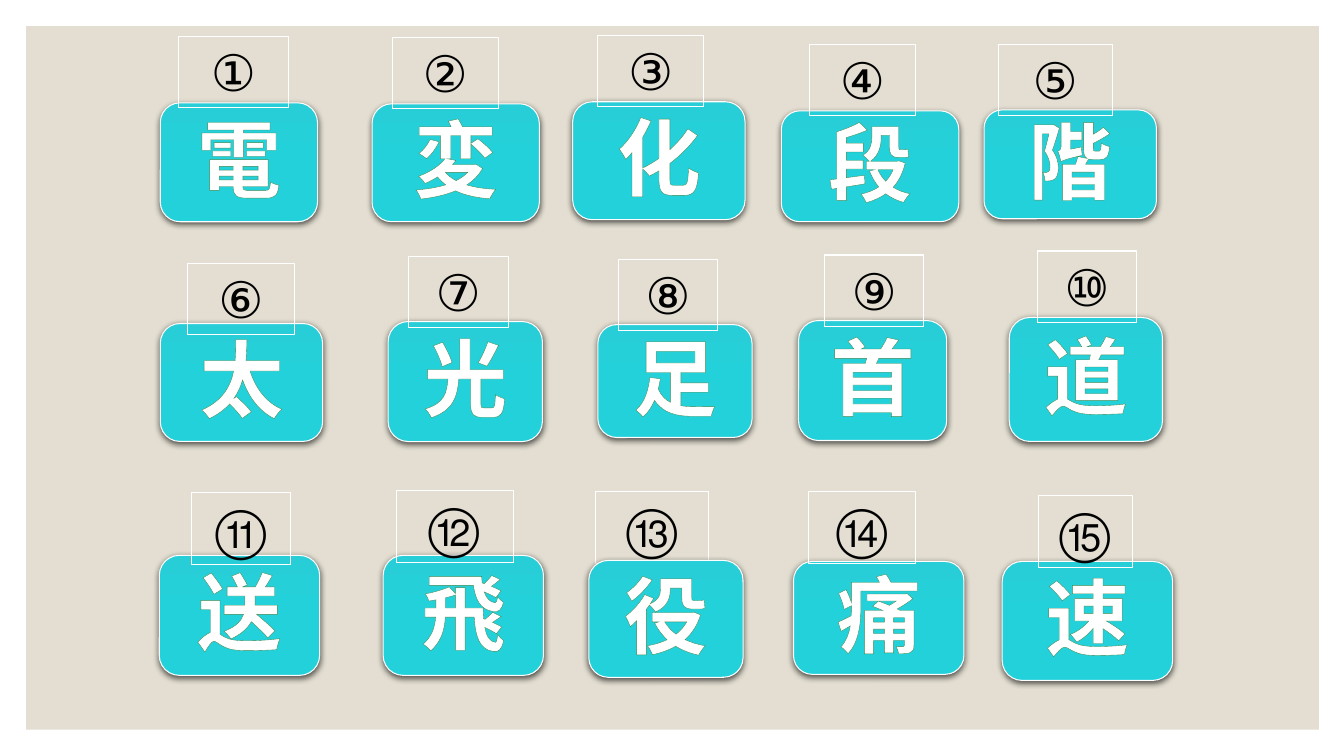
"""Build a slide of fifteen numbered kanji cards."""
import dataclasses
import typing

import lxml.etree
import pptx
import pptx.dml.color
import pptx.enum.shapes
import pptx.enum.text
import pptx.oxml
import pptx.oxml.ns
import pptx.util

PX = 9144
NS = pptx.oxml.ns.nsdecls("a")
NUMBER_H = 71
GRADIENT = ((0, "27CED7"), (50000, "22D1DA"), (100000, "22D0D9"))
KANJI_FONT = {"name": "Arial", "size": pptx.util.Pt(60), "bold": True}
NUMBER_FONT = {"name": "League Spartan", "size": pptx.util.Pt(36)}
KANJI_FRAME = {
    "margin_left": 0, "margin_right": 0, "margin_top": 0, "margin_bottom": 10 * PX,
    "vertical_anchor": pptx.enum.text.MSO_ANCHOR.MIDDLE, "word_wrap": True,
}
NUMBER_FRAME = {
    "auto_size": pptx.enum.text.MSO_AUTO_SIZE.SHAPE_TO_FIT_TEXT, "word_wrap": True,
}


class Box(typing.NamedTuple):
    left: int
    top: int
    width: int
    height: int


@dataclasses.dataclass
class Card:
    kanji: str
    box: Box
    number: str
    number_left: int
    number_top: int
    number_width: int
    covers_number: bool = False


CARDS = (
    Card("電", Box(159, 102, 156, 118), "①", 177, 36, 109),
    Card("変", Box(369, 103, 166, 117), "②", 389, 37, 105),
    Card("化", Box(568, 101, 171, 117), "③", 593, 35, 105),
    Card("段", Box(775, 110, 176, 110), "④", 803, 44, 105),
    Card("階", Box(976, 109, 171, 108), "⑤", 990, 44, 113),
    Card("太", Box(159, 321, 161, 117), "⑥", 186, 261, 106),
    Card("光", Box(385, 319, 153, 119), "⑦", 405, 254, 99),
    Card("足", Box(593, 322, 153, 112), "⑧", 613, 257, 99),
    Card("首", Box(792, 318, 147, 119), "⑨", 818, 253, 98),
    Card("道", Box(1001, 315, 152, 123), "⑩", 1029, 249, 98),
    Card("送", Box(158, 551, 159, 119), "⑪", 190, 489, 98),
    Card("飛", Box(380, 551, 159, 119), "⑫", 393, 487, 116),
    Card("役", Box(584, 556, 153, 116), "⑬", 591, 488, 112, True),
    Card("痛", Box(787, 557, 169, 112), "⑭", 802, 488, 106),
    Card("速", Box(994, 557, 169, 118), "⑮", 1030, 492, 93),
)


def rgb(value: str) -> pptx.dml.color.RGBColor:
    """Return the colour of a hex string."""
    return pptx.dml.color.RGBColor.from_string(value)


def emu(box: Box) -> list[int]:
    """Turn a box in px into EMU lengths."""
    return [v * PX for v in box]


def apply(target: object, values: dict[str, typing.Any]) -> None:
    """Set each format value on the target."""
    for name, value in values.items():
        setattr(target, name, value)


def outline(sp) -> None:
    """Give a shape the thin white border."""
    sp.line.color.rgb = rgb("FFFFFF")
    sp.line.width = pptx.util.Pt(0.75)


def write(sp, text: str, frame: dict, font: dict, color: str):
    """Write one centred run and return it."""
    tf = sp.text_frame
    apply(tf, frame)
    p = tf.paragraphs[0]
    p.alignment = pptx.enum.text.PP_ALIGN.CENTER
    r = p.add_run()
    r.text = text
    apply(r.font, font)
    r.font.color.rgb = rgb(color)
    return r


def add_background(slide) -> None:
    """Draw the beige panel."""
    sp = slide.shapes.add_shape(
        pptx.enum.shapes.MSO_SHAPE.RECTANGLE, *emu(Box(26, 26, 1282, 698)))
    sp.shadow.inherit = False
    sp.fill.solid()
    sp.fill.fore_color.rgb = rgb("E3DED1")
    sp.line.fill.background()


def add_kanji(slide, card: Card) -> None:
    """Draw a turquoise card with its kanji."""
    sp = slide.shapes.add_shape(
        pptx.enum.shapes.MSO_SHAPE.ROUNDED_RECTANGLE, *emu(card.box))
    outline(sp)
    sp.shadow.inherit = False
    spPr = sp._element.spPr
    stops = "".join(
        f'<a:gs pos="{pos}"><a:srgbClr val="{color}"/></a:gs>' for pos, color in GRADIENT)
    spPr.find(pptx.oxml.ns.qn("a:prstGeom")).addnext(pptx.oxml.parse_xml(
        f'<a:gradFill {NS} rotWithShape="1"><a:gsLst>{stops}</a:gsLst>'
        '<a:lin ang="5400000" scaled="0"/></a:gradFill>'))
    spPr.find(pptx.oxml.ns.qn("a:effectLst")).append(pptx.oxml.parse_xml(
        f'<a:outerShdw {NS} blurRad="57150" dist="19050" dir="5400000" algn="ctr" '
        'rotWithShape="0"><a:srgbClr val="000000"><a:alpha val="63000"/></a:srgbClr>'
        '</a:outerShdw>'))
    r = write(sp, card.kanji, KANJI_FRAME, KANJI_FONT, "FFFFFF")
    r.font._element.insert(0, pptx.oxml.parse_xml(
        f'<a:ln {NS} w="10160"><a:solidFill><a:srgbClr val="3E8853"/></a:solidFill></a:ln>'))


def add_number(slide, card: Card) -> None:
    """Draw the bordered number above a card."""
    box = Box(card.number_left, card.number_top, card.number_width, NUMBER_H)
    sp = slide.shapes.add_textbox(*emu(box))
    outline(sp)
    write(sp, card.number, NUMBER_FRAME, NUMBER_FONT, "000000")


def main() -> None:
    """Build and save the slide."""
    prs = pptx.Presentation()
    prs.slide_width, prs.slide_height = 1333 * PX, 750 * PX
    slide = prs.slides.add_slide(prs.slide_layouts[6])
    add_background(slide)
    for card in CARDS:
        steps = (add_number, add_kanji) if card.covers_number else (add_kanji, add_number)
        for step in steps:
            step(slide, card)
    prs.save("out.pptx")


if __name__ == "__main__":
    main()
